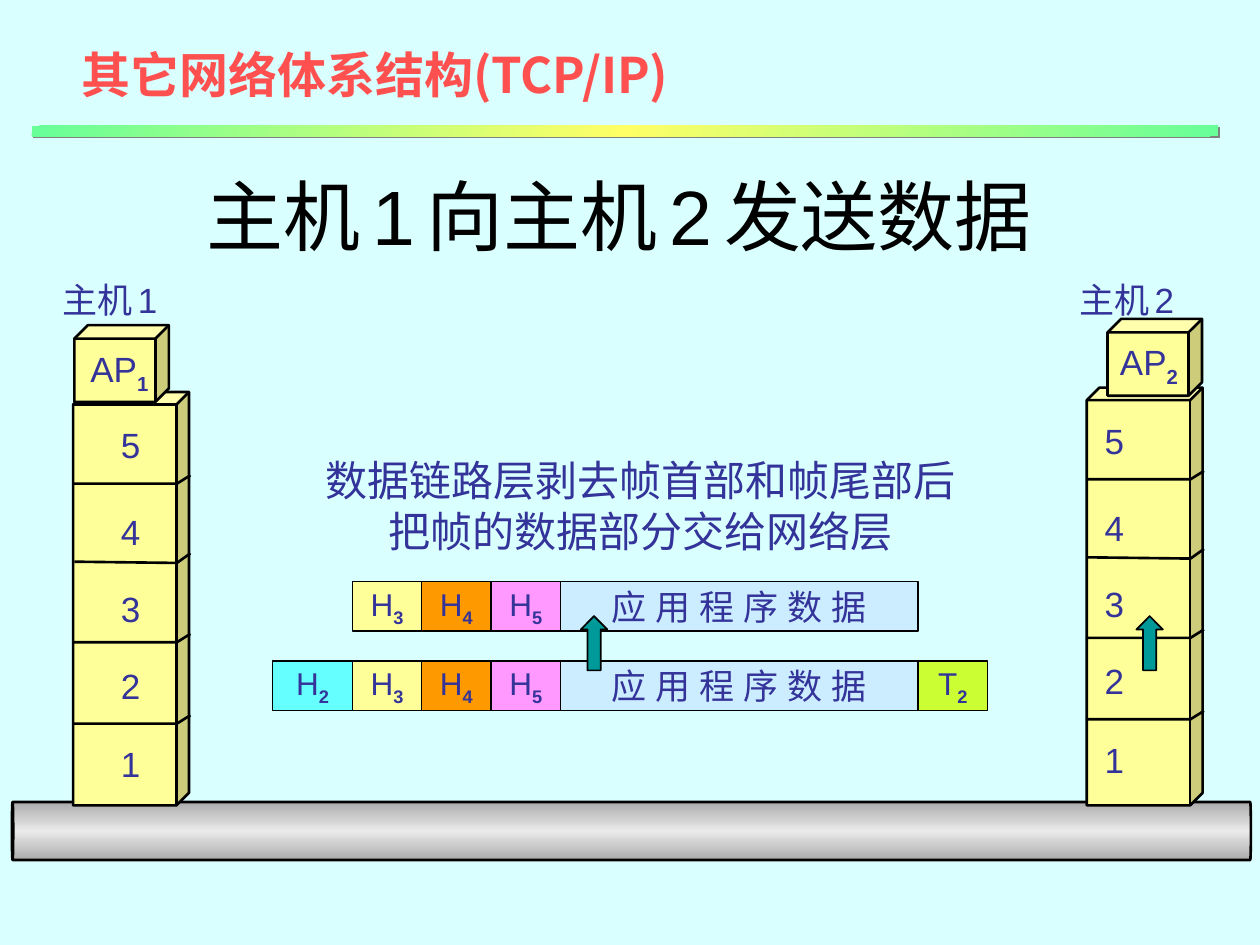
import pptx
import pptx.util
import pptx.dml.color
import pptx.enum.lang
import pptx.enum.shapes
import pptx.enum.text
import pptx.oxml
import pptx.oxml.ns
from dataclasses import dataclass

Pt = pptx.util.Pt
SHAPE = pptx.enum.shapes.MSO_SHAPE
ALIGN = pptx.enum.text.PP_ALIGN
ANCHOR = pptx.enum.text.MSO_ANCHOR
FIT = pptx.enum.text.MSO_AUTO_SIZE
NS = pptx.oxml.ns.nsdecls("a")


@dataclass(frozen=True)
class Theme:
    """Colours, fonts and type sizes of the slide."""
    bg: str = "D9FFFF"
    ink: str = "333399"
    black: str = "000000"
    header: str = "FF5050"
    yellow: str = "FFFF99"
    orange: str = "FF9900"
    pink: str = "FF99FF"
    blue: str = "CCECFF"
    cyan: str = "66FFFF"
    lime: str = "CCFF33"
    teal: str = "009999"
    shadow: str = "808080"
    bar: tuple = ("66FF99", "FFFF66")
    cable: tuple = ("ACACAC", "EAEAEA")
    font: str = "Arial"
    data_font: str = "Lato"
    header_font: str = "Noto Sans CJK SC"
    title: int = 44
    heading: int = 28
    body: int = 24
    label: int = 20
    field: int = 18
    gap: int = 10


T = Theme()


def rgb(value):
    """Return a colour object for a hex value."""
    return pptx.dml.color.RGBColor.from_string(value)


def write(p, runs, color=T.ink, name=T.font, **fmt):
    """Add (text, size, subscript) runs to a paragraph."""
    for text, size, sub in runs:
        r = p.add_run()
        r.text = text
        values = {"size": Pt(size), "name": name, "bold": sub,
                  "language_id": pptx.enum.lang.MSO_LANGUAGE_ID.SIMPLIFIED_CHINESE, **fmt}
        for key, value in values.items():
            setattr(r.font, key, value)
        r.font.color.rgb = rgb(color)
        rPr = r.font._element
        rPr.append(pptx.oxml.parse_xml(f'<a:ea {NS} typeface="{name}"/>'))
        if sub:
            rPr.set("baseline", "-25000")


def frame(sp, align=ALIGN.LEFT):
    """Prepare a text frame and return its first paragraph."""
    tf = sp.text_frame
    for key, value in {"word_wrap": False, "auto_size": FIT.NONE,
                       "vertical_anchor": ANCHOR.MIDDLE}.items():
        setattr(tf, key, value)
    tf.paragraphs[0].alignment = align
    return tf.paragraphs[0]


def add_text(shapes, box, runs, **fmt):
    """Add a one-line text box."""
    sp = shapes.add_textbox(*map(Pt, box))
    write(frame(sp), runs, **fmt)
    return sp


def add_solid(shapes, kind, box, fill=None, width=0, adj=()):
    """Add a preset shape with a plain fill and outline."""
    sp = shapes.add_shape(kind, *map(Pt, box))
    sp.shadow.inherit = False
    for i, value in enumerate(adj):
        sp.adjustments[i] = value
    if fill:
        sp.fill.solid()
        sp.fill.fore_color.rgb = rgb(fill)
    if width:
        sp.line.color.rgb = rgb(T.black)
        sp.line.width = Pt(width)
    else:
        sp.line.fill.background()
    return sp


def set_gradient(sp, colors, angle):
    """Fill a shape with a symmetric gradient of edge and middle colours."""
    edge, middle = colors
    stops = "".join(f'<a:gs pos="{pos}"><a:srgbClr val="{c}"/></a:gs>'
                    for pos, c in ((0, edge), (50000, middle), (100000, edge)))
    geom = sp._element.spPr.find(pptx.oxml.ns.qn("a:prstGeom"))
    geom.addnext(pptx.oxml.parse_xml(
        f'<a:gradFill {NS} rotWithShape="1"><a:gsLst>{stops}</a:gsLst>'
        f'<a:lin ang="{angle * 60000}" scaled="0"/></a:gradFill>'))


def add_header(s, box):
    """Place the section heading and the bar under it."""
    x, y, w, h = box
    bar = add_solid(s.shapes, SHAPE.RECTANGLE, (x, y + h - 6, w, 6))
    set_gradient(bar, T.bar, 45)
    effects = bar._element.spPr.find(pptx.oxml.ns.qn("a:effectLst"))
    effects.append(pptx.oxml.parse_xml(
        f'<a:outerShdw {NS} dist="17780" dir="2700000" algn="ctr" rotWithShape="0">'
        f'<a:srgbClr val="{T.shadow}"/></a:outerShdw>'))
    add_text(s.shapes, (x + 21.6, y, 379.4, 41), [("其它网络体系结构(TCP/IP)", T.heading, None)],
             color=T.header, name=T.header_font, bold=True)


def add_title(s, box):
    """Place the slide title."""
    sp = s.shapes.title
    for key, value in zip(("left", "top", "width", "height"), box):
        setattr(sp, key, Pt(value))
    p = frame(sp, ALIGN.CENTER)
    sp.text_frame.word_wrap = True
    parts = ("主机", " ", "1", " ", "向主机", " ", "2", " ", "发送数据 ")
    write(p, [(t, T.body if t == " " else T.title, None) for t in parts], color=T.black)


def add_cable(s, box):
    """Place the cable that joins the hosts."""
    x, y, w, h = box
    sp = add_solid(s.shapes, SHAPE.CAN, (x + (w - h) / 2, y + (h - w) / 2, h, w),
                   width=1.5, adj=[0.023])
    set_gradient(sp, T.cable, 0)
    sp.rotation = 270


def add_host(s, box, number, digit_dx, name_box, ap_box, ap_text):
    """Place a host: its layer stack, its name and its application block."""
    x, y, w, h = box
    add_solid(s.shapes, SHAPE.CUBE, box, T.yellow, 1.5, [0.108])
    for layer, dy in zip("54321", (14.2, 63.9, 107.8, 151.7, 196.4)):
        add_text(s.shapes, (x + digit_dx, y + dy, 25.2, 31.7), [(layer, T.label, None)])
    for dx, dy, slant in ((0, 52.4, 0), (0.7, 97, 0.7), (-0.5, 143, 0), (-0.5, 189.5, 0)):
        edge = s.shapes.build_freeform(Pt(x + dx), Pt(y + dy))
        edge.add_line_segments([(Pt(x + 59.3), Pt(y + dy + slant)),
                                (Pt(x + w + 0.8), Pt(y + dy - 4.8))], close=False)
        sp = edge.convert_to_shape()
        sp.shadow.inherit = False
        sp.fill.background()
        sp.line.color.rgb = rgb(T.black)
        sp.line.width = Pt(1.5)
    add_text(s.shapes, name_box, [("主机", T.label, None), (" ", T.gap, None),
                                  (number, T.label, None)])
    add_solid(s.shapes, SHAPE.CUBE, ap_box, T.yellow, 1.5, [0.176])
    add_text(s.shapes, ap_text, [("AP", T.label, None), (number, T.label, True)])


def add_field(shapes, box, fill, runs, name=T.font):
    """Place one field of a data unit."""
    sp = add_solid(shapes, SHAPE.RECTANGLE, box, fill, 0.75)
    write(frame(sp, ALIGN.CENTER), runs, name=name)


def add_packet(s, box):
    """Place a row of three headers and the application data."""
    x, y, w, h = box
    shapes = s.shapes.add_group_shape().shapes
    step = 39.6
    for i, (number, fill) in enumerate(zip("345", (T.yellow, T.orange, T.pink))):
        add_field(shapes, (x + i * step, y, step, h), fill,
                  [("H", T.field, None), (number, T.field, True)])
    add_field(shapes, (x + 3 * step, y, w - 3 * step, h), T.blue,
              [("应 用 程 序 数 据", T.label, None)], T.data_font)


def add_frame(s, box):
    """Place a packet between its frame header and trailer."""
    x, y, w, h = box
    head, tail = 45.6, 39.6
    for left, width, letter, fill in ((x, head, "H", T.cyan), (x + w - tail, tail, "T", T.lime)):
        add_field(s.shapes, (left, y, width, h), fill,
                  [(letter, T.field, None), ("2", T.field, True)])
    add_packet(s, (x + head, y, w - head - tail, h))


def add_caption(s, box):
    """Place the two-line explanation."""
    sp = s.shapes.add_textbox(*map(Pt, box))
    first = frame(sp, ALIGN.CENTER)
    lines = ("数据链路层剥去帧首部和帧尾部后", "把帧的数据部分交给网络层")
    for p, text in zip((first, sp.text_frame.add_paragraph()), lines):
        p.alignment = ALIGN.CENTER
        p.line_spacing = Pt(29)
        write(p, [(text, T.body, None)])


def main():
    """Build the slide and save it."""
    prs = pptx.Presentation()
    prs.slide_width, prs.slide_height = Pt(720), Pt(540)
    s = prs.slides.add_slide(prs.slide_layouts[5])
    s.background.fill.solid()
    s.background.fill.fore_color.rgb = rgb(T.bg)
    add_packet(s, (201.4, 332.4, 323.2, 28.3))
    add_title(s, (54, 77.8, 612, 90))
    add_cable(s, (6.8, 458.3, 708, 33.1))
    add_host(s, (41.8, 224, 66.2, 236.2), "1", 20.2, (28.8, 155.5, 72.7, 31.7),
             (42.5, 185.8, 54, 43.9), (44.6, 195.1, 47.5, 34.6))
    add_host(s, (621, 221.5, 66.2, 238.7), "2", 3.2, (609.8, 155.5, 72.7, 31.7),
             (632.9, 182.2, 54, 43.9), (632.9, 190.8, 47.5, 34.6))
    add_caption(s, (178.6, 256.3, 374.4, 64.8))
    add_frame(s, (155.8, 377.8, 408.4, 28.3))
    for x in (649.4, 331.9):
        add_solid(s.shapes, SHAPE.UP_ARROW, (x, 352.1, 15.1, 31), T.teal, 1, [0.5, 0.505])
    add_header(s, (18, 21.6, 678.2, 56.2))
    prs.save("out.pptx")


if __name__ == "__main__":
    main()
